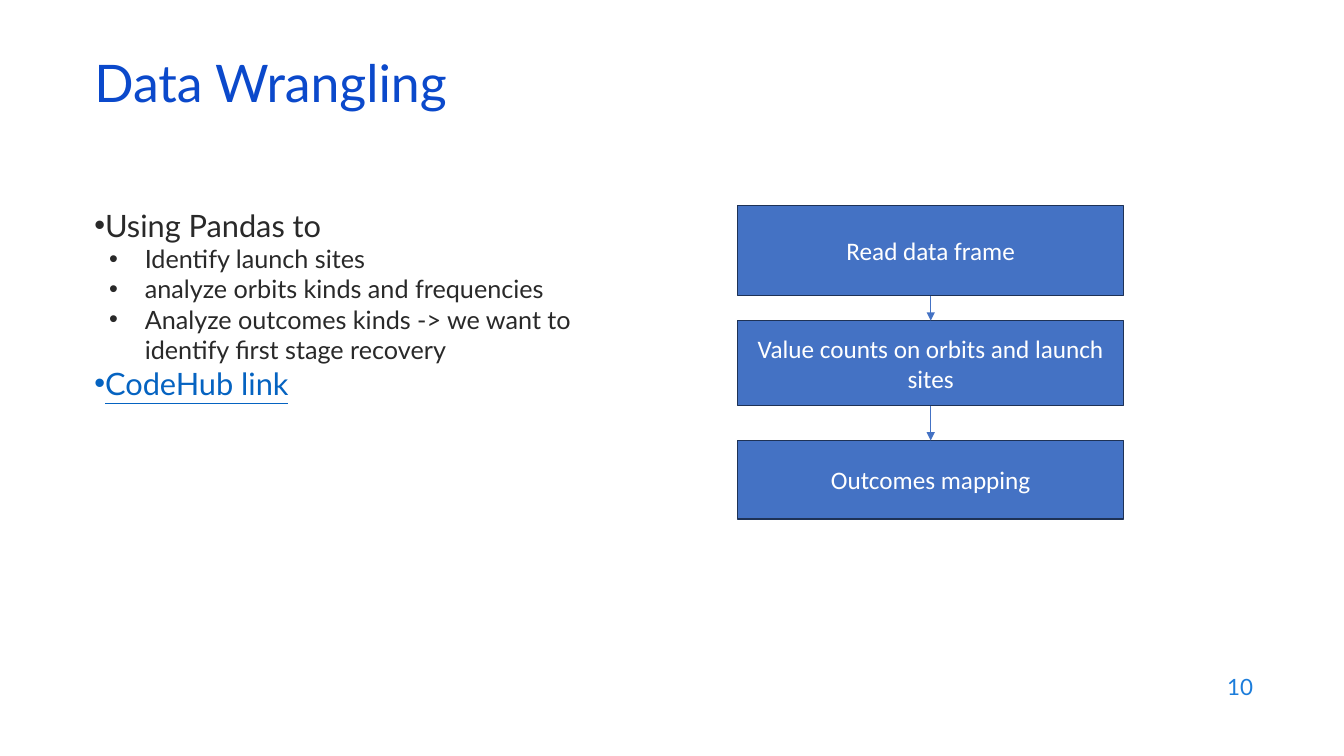
from lxml import etree
from pptx import Presentation
from pptx import util as u
from pptx.dml.color import RGBColor
from pptx.enum import shapes, text
from pptx.oxml.ns import qn


def color(hex_string):
    return RGBColor.from_string(hex_string)


def add_text(paragraph, content, font_name, size, hex_string):
    run = paragraph.add_run()
    run.text = content
    run.font.name = font_name
    run.font.size = u.Pt(size)
    run.font.color.rgb = color(hex_string)
    return run


presentation = Presentation()
presentation.slide_width = u.Cm(33.87)
presentation.slide_height = u.Cm(19.05)
slide = presentation.slides.add_slide(presentation.slide_layouts[6])

# Title
title = slide.shapes.add_textbox(u.Cm(2.13), u.Cm(1.5), u.Cm(29.21), u.Cm(1.52))
title.text_frame.word_wrap = True
title.text_frame.vertical_anchor = text.MSO_ANCHOR.MIDDLE
paragraph = title.text_frame.paragraphs[0]
paragraph.line_spacing = 0.7
add_text(paragraph, "Data Wrangling", "Lato", 37, "0B49CB")

# Bullet list: level, wording, colour
bullets = [
    (0, "Using Pandas to", "292929"),
    (1, "Identify launch sites", "292929"),
    (1, "analyze orbits kinds and frequencies", "292929"),
    (1, "Analyze outcomes kinds -> we want to identify first stage recovery", "292929"),
    (0, "CodeHub link", "0563C1"),
]
body = slide.shapes.add_textbox(u.Cm(2.13), u.Cm(5.08), u.Cm(14.78), u.Cm(12.09))
body.text_frame.word_wrap = True
for index, (level, wording, hex_string) in enumerate(bullets):
    paragraph = body.text_frame.paragraphs[0] if index == 0 else body.text_frame.add_paragraph()
    paragraph.level = level
    properties = paragraph._p.get_or_add_pPr()
    properties.set("marL", str(u.Cm(1.27 * level)))
    properties.set("indent", str(u.Cm(-0.9 * level)))
    etree.SubElement(properties, qn("a:buFont"), typeface="Arial")
    etree.SubElement(properties, qn("a:buChar"), char="•")
    run = add_text(paragraph, wording, "Lato", 18 if level else 22, hex_string)
    run.font.underline = wording == "CodeHub link"

# Process steps: wording, top, height
steps = [
    ("Read data frame", 5.18, 2.27),
    ("Value counts on orbits and launch sites", 8.08, 2.14),
    ("Outcomes mapping", 11.1, 1.98),
]
boxes = []
for wording, top, height in steps:
    box = slide.shapes.add_shape(
        shapes.MSO_SHAPE.RECTANGLE, u.Cm(18.59), u.Cm(top), u.Cm(9.73), u.Cm(height))
    box.shadow.inherit = False
    box.fill.solid()
    box.fill.fore_color.rgb = color("4472C4")
    box.line.color.rgb = color("1E3256")
    box.line.width = u.Pt(1)
    box.text_frame.word_wrap = True
    box.text_frame.vertical_anchor = text.MSO_ANCHOR.MIDDLE
    paragraph = box.text_frame.paragraphs[0]
    paragraph.alignment = text.PP_ALIGN.CENTER
    add_text(paragraph, wording, "Calibri", 18, "FFFFFF")
    boxes.append(box)

# Arrows between consecutive steps
for upper, lower in zip(boxes, boxes[1:]):
    arrow = slide.shapes.add_connector(shapes.MSO_CONNECTOR.STRAIGHT, 0, 0, 0, 0)
    arrow.begin_connect(upper, 2)
    arrow.end_connect(lower, 0)
    arrow.line.color.rgb = color("4472C4")
    arrow.line.width = u.Pt(0.5)
    etree.SubElement(arrow.line._get_or_add_ln(), qn("a:tailEnd"), type="triangle")
    etree.SubElement(arrow._element.spPr, qn("a:effectLst"))

# Slide number
number = slide.shapes.add_textbox(u.Cm(24.21), u.Cm(16.74), u.Cm(7.62), u.Cm(1.12))
number.text_frame.word_wrap = True
number.text_frame.vertical_anchor = text.MSO_ANCHOR.MIDDLE
paragraph = number.text_frame.paragraphs[0]
paragraph.alignment = text.PP_ALIGN.RIGHT
add_text(paragraph, "10", "Lato", 16, "1C7DDB")

presentation.save("out.pptx")
